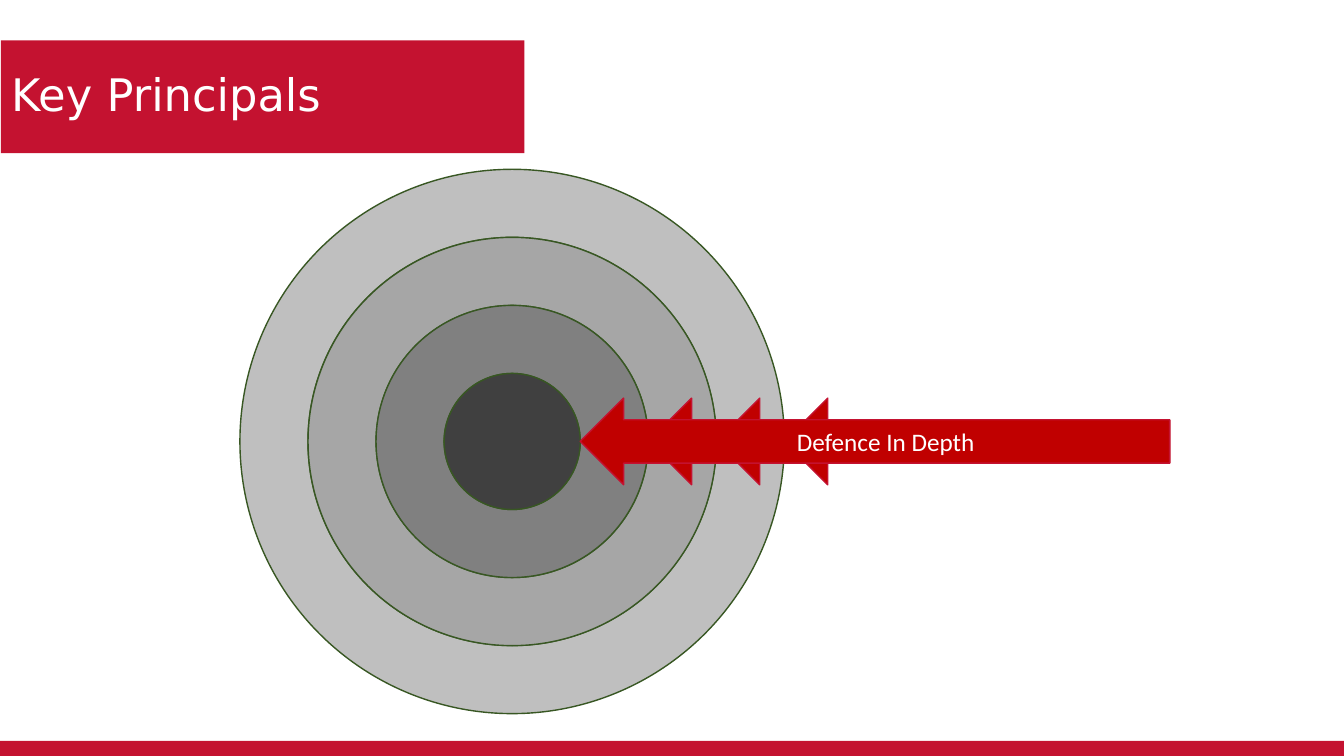
from pptx import Presentation
from pptx.dml.color import RGBColor
from pptx.enum.shapes import MSO_SHAPE as Shape
from pptx.enum.text import MSO_ANCHOR as Anchor, MSO_AUTO_SIZE as AutoSize, PP_ALIGN as Align
from pptx.util import Inches, Pt

WIDTH, HEIGHT = 13.33, 7.5
BRAND_RED, ARROW_RED, RING_LINE = "C41230", "C00000", "385723"
RING_FILLS = ["BFBFBF", "A6A6A6", "808080"]
CORE_FILL = "404040"
CENTRE_X, CENTRE_Y = 5.08, 4.38
RING_STEP = 0.675
ARROW_END, ARROW_HEIGHT = 11.6, 0.86


def colour(hex_code):
    return RGBColor.from_string(hex_code)


def paint(shape, fill, line=None):
    shape.fill.solid()
    shape.fill.fore_color.rgb = colour(fill)
    if line:
        shape.line.color.rgb = colour(line)
        shape.line.width = Pt(1)
    else:
        shape.line.fill.background()


def add_shape(slide, kind, left, top, width, height, fill, line=None):
    shape = slide.shapes.add_shape(kind, *map(Inches, (left, top, width, height)))
    shape.shadow.inherit = False
    paint(shape, fill, line)
    return shape


def write(shape, text, font, size, align):
    frame = shape.text_frame
    frame.text = text
    frame.word_wrap = True
    frame.auto_size = AutoSize.NONE
    frame.vertical_anchor = Anchor.MIDDLE
    para = frame.paragraphs[0]
    para.alignment = align
    para.font.name = font
    para.font.size = Pt(size)
    para.font.color.rgb = colour("FFFFFF")
    return para


def add_title(slide, text):
    title = slide.shapes.title
    title.left, title.top, title.width, title.height = map(Inches, (0.01, 0.4, 5.19, 1.12))
    paint(title, BRAND_RED)
    write(title, text, "DejaVu Sans", 32, Align.LEFT).line_spacing = 0.9


def add_circle(slide, kind, radius, fill):
    return add_shape(slide, kind, CENTRE_X - radius, CENTRE_Y - radius,
                     2 * radius, 2 * radius, fill, RING_LINE)


def add_arrow(slide, radius):
    """Draw an arrow from the common right end to the circle of this radius."""
    tip = CENTRE_X + radius
    return add_shape(slide, Shape.LEFT_ARROW, tip, CENTRE_Y - ARROW_HEIGHT / 2,
                     ARROW_END - tip, ARROW_HEIGHT, ARROW_RED, BRAND_RED)


def main():
    deck = Presentation()
    deck.slide_width, deck.slide_height = Inches(WIDTH), Inches(HEIGHT)
    slide = deck.slides.add_slide(deck.slide_layouts[5])

    bar_height = HEIGHT * 0.02
    add_shape(slide, Shape.RECTANGLE, 0, HEIGHT - bar_height, WIDTH, bar_height, BRAND_RED)
    add_title(slide, "Key Principals")

    radii = [RING_STEP * count for count in (4, 3, 2, 1)]
    for radius, fill in zip(radii, RING_FILLS):
        ring = add_circle(slide, Shape.DONUT, radius, fill)
        ring.adjustments[0] = RING_STEP / (2 * radius)
    add_circle(slide, Shape.FLOWCHART_CONNECTOR, RING_STEP, CORE_FILL)

    arrows = [add_arrow(slide, radius) for radius in radii]
    write(arrows[-1], "Defence In Depth", "Calibri", 18, Align.CENTER)

    deck.save("out.pptx")


if __name__ == "__main__":
    main()
